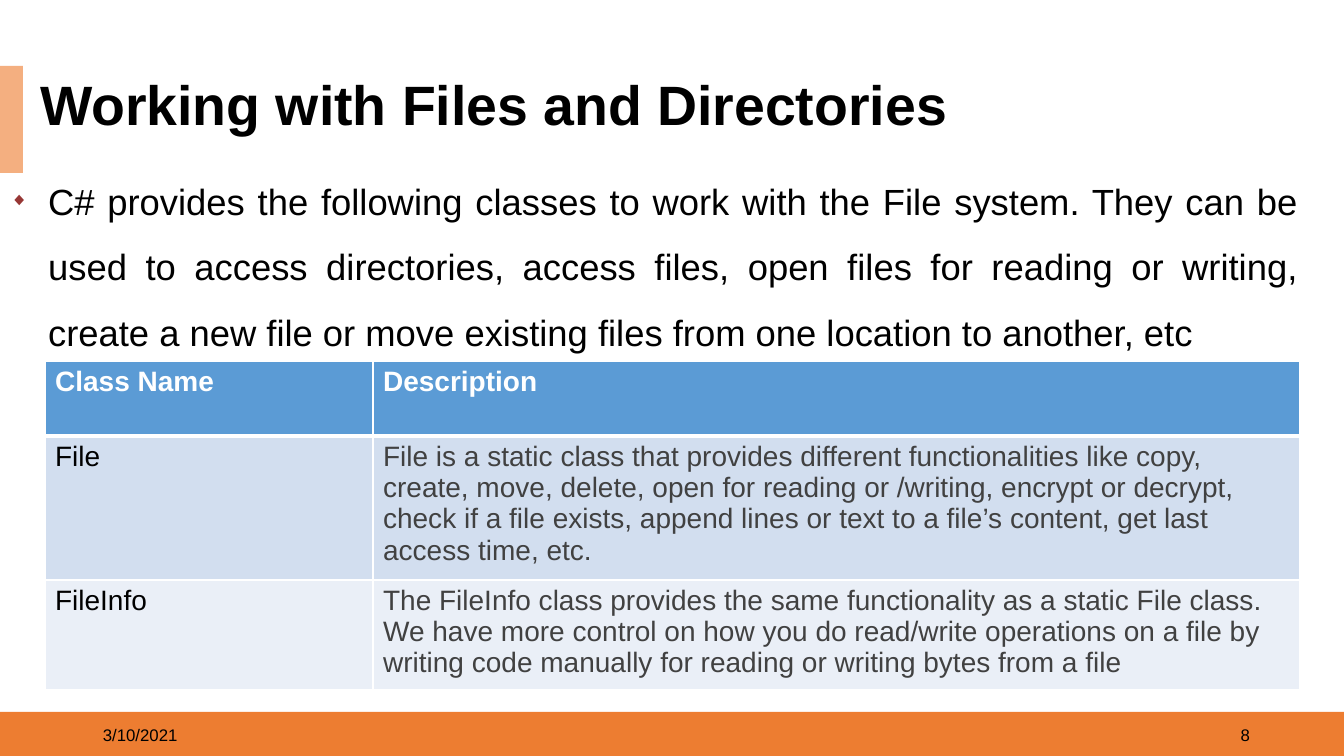
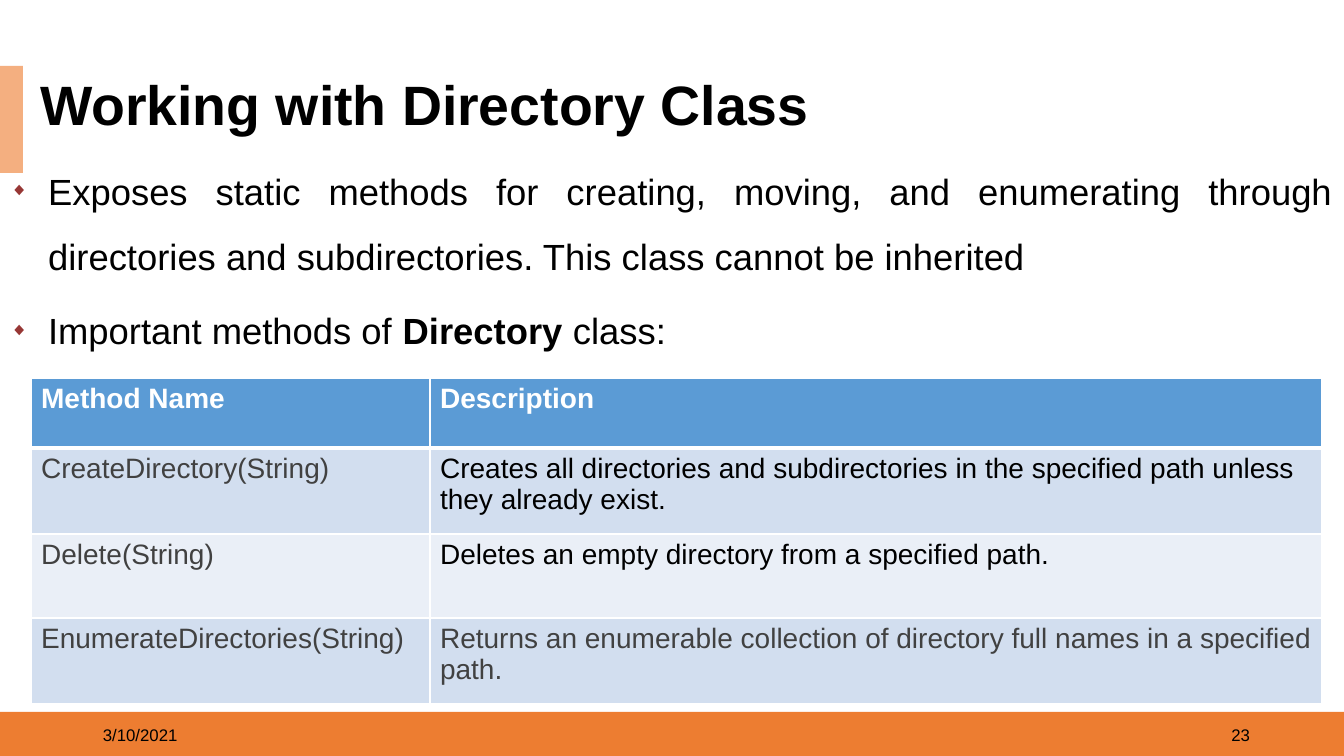
import pptx
import pptx.dml.color
import pptx.enum.shapes
import pptx.enum.text
import pptx.oxml
import pptx.oxml.ns
import pptx.util

PX = 914400 / 100.8
FONT = "Arial"
BLACK, GREY, WHITE = "000000", "414141", "FFFFFF"
ORANGE, PEACH, MAROON = "ED7D31", "F4AF80", "973735"
HEADER, BANDS = "5B9BD5", ("D2DEEF", "EAEFF7")
ALIGN = pptx.enum.text.PP_ALIGN
MIDDLE = pptx.enum.text.MSO_ANCHOR.MIDDLE
TITLE = {"size": 39.6, "bold": True}
BODY = {"size": 26}
FOOTER = {"size": 12}
CELL = {"size": 20}


def px(n):
    """Convert pixels to EMU."""
    return pptx.util.Emu(round(n * PX))


def color(value):
    """Turn a hex string into a colour."""
    return pptx.dml.color.RGBColor.from_string(value)


def set_attrs(obj, values):
    """Set each named attribute of an object."""
    for name, value in values.items():
        setattr(obj, name, value)


def place(sp, box):
    """Move and size a shape to a box in px."""
    set_attrs(sp, dict(zip(("left", "top", "width", "height"), map(px, box))))


def add_run(p, text, fmt, fill=BLACK):
    """Append a formatted run to a paragraph."""
    r = p.add_run()
    r.text = text
    set_attrs(r.font, {"name": FONT, **fmt, "size": pptx.util.Pt(fmt["size"])})
    r.font.color.rgb = color(fill)


def setup_frame(tf, **values):
    """Give a text frame wrapping and a fixed size."""
    set_attrs(tf, {"word_wrap": True,
                   "auto_size": pptx.enum.text.MSO_AUTO_SIZE.NONE, **values})


def add_rect(slide, box, fill):
    """Draw a plain filled rectangle."""
    sp = slide.shapes.add_shape(
        pptx.enum.shapes.MSO_SHAPE.RECTANGLE, *map(px, box))
    sp.shadow.inherit = False
    sp.fill.solid()
    sp.fill.fore_color.rgb = color(fill)
    sp.line.fill.background()


def add_footer(slide, left, text, align):
    """Write one footer text on the bottom band."""
    tf = slide.shapes.add_textbox(*map(px, (left, 715, 302, 40))).text_frame
    setup_frame(tf, vertical_anchor=MIDDLE)
    p = tf.paragraphs[0]
    p.alignment = align
    add_run(p, text, FOOTER)


def add_slide(prs, title, width, number):
    """Add a slide with the shared title, bands and footers."""
    slide = prs.slides.add_slide(prs.slide_layouts[1])
    add_rect(slide, (0, 712, 1344, 44), ORANGE)
    add_rect(slide, (0, 66, 23, 107), PEACH)
    place(slide.shapes.title, (30, 76, width, 63))
    tf = slide.shapes.title.text_frame
    setup_frame(tf, vertical_anchor=MIDDLE)
    p = tf.paragraphs[0]
    set_attrs(p, {"alignment": ALIGN.LEFT, "line_spacing": 0.9})
    add_run(p, title, TITLE)
    add_footer(slide, 93, "3/10/2021", ALIGN.LEFT)
    add_footer(slide, 958, number, ALIGN.RIGHT)
    return slide


def add_bullet(p):
    """Give a paragraph a small diamond bullet with a hanging indent."""
    pPr = p._p.get_or_add_pPr()
    pPr.set("marL", str(px(38)))
    pPr.set("indent", str(px(-38)))
    ns = pptx.oxml.ns.nsdecls("a")
    for xml in (f'<a:buClr {ns}><a:srgbClr val="{MAROON}"/></a:buClr>',
                f'<a:buSzPct {ns} val="50000"/>',
                f'<a:buFont {ns} typeface="{FONT}"/>',
                f'<a:buChar {ns} char="◆"/>'):
        pPr.append(pptx.oxml.parse_xml(xml))


def fill_body(slide, box, items, gap):
    """Fill the body placeholder with bulleted, justified items."""
    sp = slide.placeholders[1]
    place(sp, box)
    tf = sp.text_frame
    setup_frame(tf)
    for i, runs in enumerate(items):
        p = tf.add_paragraph() if i else tf.paragraphs[0]
        add_bullet(p)
        set_attrs(p, {"alignment": ALIGN.JUSTIFY, "line_spacing": 1.5,
                      "space_before": pptx.util.Pt(gap if i else 0),
                      "space_after": pptx.util.Pt(gap)})
        for text, bold in runs:
            add_run(p, text, {**BODY, "bold": bold})


def set_borders(cell, top, bottom):
    """Draw white cell borders with the given top and bottom widths."""
    ns = pptx.oxml.ns.nsdecls("a")
    for side, width in (("L", 1), ("R", 1), ("T", top), ("B", bottom)):
        cell._tc.get_or_add_tcPr().append(pptx.oxml.parse_xml(
            f'<a:ln{side} {ns} w="{pptx.util.Pt(width)}"><a:solidFill>'
            f'<a:srgbClr val="{WHITE}"/></a:solidFill></a:ln{side}>'))


def add_table(slide, left, top, widths, heights, rows):
    """Add a banded table of (text, colour) cells below a header row."""
    box = (left, top, sum(widths), sum(heights))
    table = slide.shapes.add_table(
        len(heights), len(widths), *map(px, box)).table
    for col, width in zip(table.columns, widths):
        col.width = px(width)
    for i, (row, height, texts) in enumerate(zip(table.rows, heights, rows)):
        row.height = px(height)
        for cell, (text, fill) in zip(row.cells, texts):
            set_borders(cell, 3 if i == 1 else 1, 1 if i else 3)
            cell.fill.solid()
            cell.fill.fore_color.rgb = color(BANDS[(i - 1) % 2] if i else HEADER)
            add_run(cell.text_frame.paragraphs[0], text,
                    {**CELL, "bold": i == 0}, fill)


def add_files_slide(prs):
    """Build the slide on files and directories."""
    slide = add_slide(prs, "Working with Files and Directories", 980, "8")
    fill_body(slide, (0, 152, 1310, 201), [[(
        "C# provides the following classes to work with the File system. "
        "They can be used to access directories, access files, open files "
        "for reading or writing, create a new file or move existing files "
        "from one location to another, etc", False)]], 12)
    add_table(slide, 45, 361, (328, 927), (75, 144, 110), [
        [("Class Name", WHITE), ("Description", WHITE)],
        [("File", BLACK),
         ("File is a static class that provides different functionalities "
          "like copy, create, move, delete, open for reading or /writing, "
          "encrypt or decrypt, check if a file exists, append lines or text "
          "to a file’s content, get last access time, etc.", GREY)],
        [("FileInfo", BLACK),
         ("The FileInfo class provides the same functionality as a static "
          "File class. We have more control on how you do read/write "
          "operations on a file by writing code manually for reading or "
          "writing bytes from a file", GREY)]])


def add_directory_slide(prs):
    """Build the slide on the Directory class."""
    slide = add_slide(prs, "Working with Directory Class", 909, "23")
    fill_body(slide, (0, 142, 1344, 209), [
        [("Exposes static methods for creating, moving, and enumerating "
          "through directories and subdirectories. This class cannot be "
          "inherited", False)],
        [("Important methods of ", False), ("Directory ", True),
         ("class:", False)]], 3)
    add_table(slide, 31, 378, (399, 892), (70, 86, 84, 86), [
        [("Method Name", WHITE), ("Description", WHITE)],
        [("CreateDirectory(String)", GREY),
         ("Creates all directories and subdirectories in the specified path "
          "unless they already exist.", BLACK)],
        [("Delete(String)", GREY),
         ("Deletes an empty directory from a specified path.", BLACK)],
        [("EnumerateDirectories(String)", GREY),
         ("Returns an enumerable collection of directory full names in a "
          "specified path.", GREY)]])


def main():
    """Build and save the presentation."""
    prs = pptx.Presentation()
    set_attrs(prs, {"slide_width": px(1344), "slide_height": px(756)})
    add_files_slide(prs)
    add_directory_slide(prs)
    prs.save("out.pptx")


if __name__ == "__main__":
    main()
